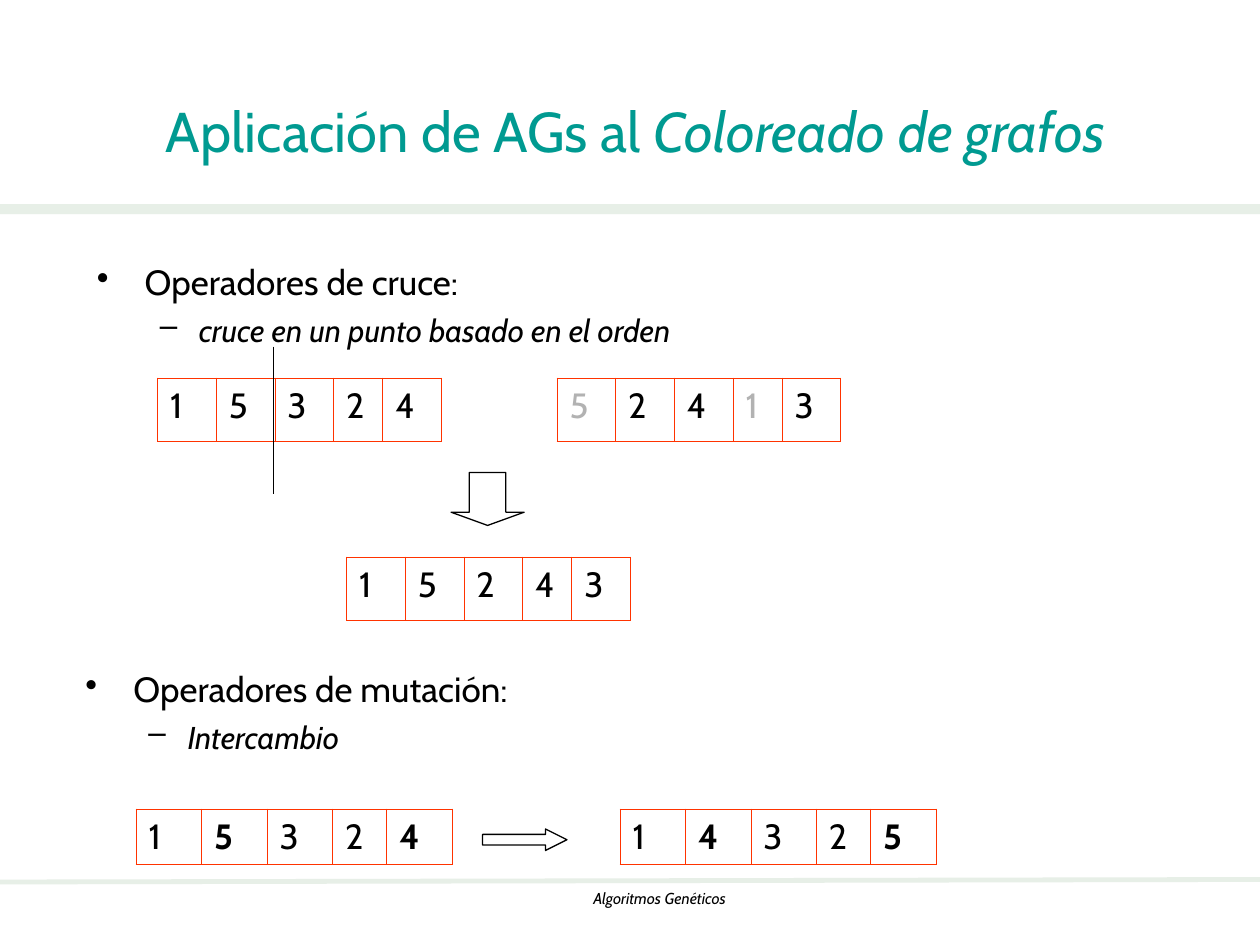
"""Build the slide on genetic operators for graph colouring."""
from lxml.etree import SubElement
from pptx import Presentation
from pptx.dml.color import RGBColor
from pptx.enum.shapes import MSO_CONNECTOR, MSO_SHAPE
from pptx.enum.text import MSO_ANCHOR, PP_ALIGN
from pptx.oxml.ns import qn
from pptx.util import Inches, Pt

BLACK = RGBColor(0x00, 0x00, 0x00)
GRAY = RGBColor(0xB2, 0xB2, 0xB2)
TEAL = RGBColor(0x00, 0x9A, 0x91)
PALE_GREEN = RGBColor(0xE7, 0xEF, 0xE7)
RED = RGBColor(0xFF, 0x33, 0x00)


class SlideBuilder:
    font_name = "Cabin"
    border_width = Pt(0.45)

    def __init__(self, slide):
        self.slide = slide

    def style(self, paragraph, size, color=BLACK, italic=None, bold=None):
        font = paragraph.font
        font.name = self.font_name
        font.size = Pt(size)
        font.color.rgb = color
        font.italic = italic
        font.bold = bold

    def text_box(self, left, top, width, height):
        shape = self.slide.shapes.add_textbox(
            Inches(left), Inches(top), Inches(width), Inches(height))
        shape.text_frame.word_wrap = True
        return shape.text_frame

    def centered(self, box, runs, size, color=BLACK):
        frame = self.text_box(*box)
        frame.vertical_anchor = MSO_ANCHOR.MIDDLE
        paragraph = frame.paragraphs[0]
        paragraph.alignment = PP_ALIGN.CENTER
        self.style(paragraph, size, color)
        for text, italic in runs:
            run = paragraph.add_run()
            run.text = text
            run.font.italic = italic

    def bullets(self, box, heading, detail):
        frame = self.text_box(*box)
        first, second = frame.paragraphs[0], frame.add_paragraph()
        second.level = 1
        second.space_before = Pt(4.5)
        for paragraph, text, mark, margin, indent, size, italic in (
                (first, heading, "•", 0.38, -0.38, 20, None),
                (second, detail, "–", 0.81, -0.31, 18, True)):
            paragraph.text = text
            properties = paragraph._p.get_or_add_pPr()
            properties.set("marL", str(Inches(margin)))
            properties.set("indent", str(Inches(indent)))
            SubElement(properties, qn("a:buChar")).set("char", mark)
            self.style(paragraph, size, italic=italic)

    def line(self, start, end, color, width):
        connector = self.slide.shapes.add_connector(
            MSO_CONNECTOR.STRAIGHT, *map(Inches, start + end))
        connector.line.color.rgb = color
        connector.line.width = Pt(width)
        SubElement(connector._element.spPr, qn("a:effectLst"))

    def shape(self, kind, box, fill=None, outline=None, adjustments=()):
        shape = self.slide.shapes.add_shape(kind, *map(Inches, box))
        shape.shadow.inherit = False
        if fill is None:
            shape.fill.background()
        else:
            shape.fill.solid()
            shape.fill.fore_color.rgb = fill
        if outline is None:
            shape.line.fill.background()
        else:
            shape.line.color.rgb = outline
            shape.line.width = Pt(0.75)
        for index, value in enumerate(adjustments):
            shape.adjustments[index] = value

    def border(self, cell):
        properties = cell._tc.get_or_add_tcPr()
        for index, side in enumerate(("lnL", "lnR", "lnT", "lnB")):
            edge = properties.makeelement(qn(f"a:{side}"), {"w": str(self.border_width)})
            fill = SubElement(edge, qn("a:solidFill"))
            SubElement(fill, qn("a:srgbClr")).set("val", str(RED))
            properties.insert(index, edge)

    def chromosome(self, left, top, genes, wide, narrow, height, gray="", bold=""):
        widths = [wide, wide, wide, narrow, wide]
        table = self.slide.shapes.add_table(
            1, len(genes), Inches(left), Inches(top),
            Inches(sum(widths)), Inches(height)).table
        table.first_row = table.horz_banding = False
        table.rows[0].height = Inches(height)
        for column, width, gene in zip(range(len(genes)), widths, genes):
            table.columns[column].width = Inches(width)
            cell = table.cell(0, column)
            cell.fill.background()
            self.border(cell)
            paragraph = cell.text_frame.paragraphs[0]
            paragraph.text = gene
            self.style(paragraph, 20, GRAY if gene in gray else BLACK,
                       bold=gene in bold)


def main():
    presentation = Presentation()
    presentation.slide_width = Inches(10)
    presentation.slide_height = Inches(7.5)
    builder = SlideBuilder(presentation.slides.add_slide(presentation.slide_layouts[6]))

    builder.line((0, 7), (10, 6.98), PALE_GREEN, 2.75)
    builder.shape(MSO_SHAPE.RECTANGLE, (0, 1.62, 10, 0.08), fill=PALE_GREEN)
    builder.centered((2.32, 7, 5.83, 0.25), [("Algoritmos Genéticos", True)], 9)
    builder.centered(
        (0.67, 0.52, 8.75, 1.02),
        [("Aplicación de AGs al ", False), ("Coloreado de grafos", True)], 32, TEAL)

    builder.bullets((0.67, 2.02, 7.83, 0.98), "Operadores de cruce:",
                    "cruce en un punto basado en el orden")
    crossover = {"wide": 0.466, "narrow": 0.39, "height": 0.5}
    builder.chromosome(4.42, 3, "52413", gray="51", **crossover)
    builder.chromosome(1.25, 3, "15324", **crossover)
    builder.line((2.17, 2.75), (2.17, 3.92), BLACK, 0.75)
    builder.chromosome(2.75, 4.42, "15243", **crossover)
    builder.shape(MSO_SHAPE.DOWN_ARROW, (3.58, 3.75, 0.58, 0.42),
                  outline=BLACK, adjustments=(0.5, 0.25))

    builder.bullets((0.58, 5.25, 7.08, 1.48), "Operadores de mutación:", "Intercambio")
    mutation = {"wide": 0.52, "narrow": 0.43, "height": 0.44, "bold": "45"}
    builder.chromosome(1.08, 6.42, "15324", **mutation)
    builder.shape(MSO_SHAPE.RIGHT_ARROW, (3.83, 6.58, 0.67, 0.17),
                  outline=BLACK, adjustments=(0.5, 1))
    builder.chromosome(4.92, 6.42, "14325", **mutation)

    presentation.save("out.pptx")


if __name__ == "__main__":
    main()
